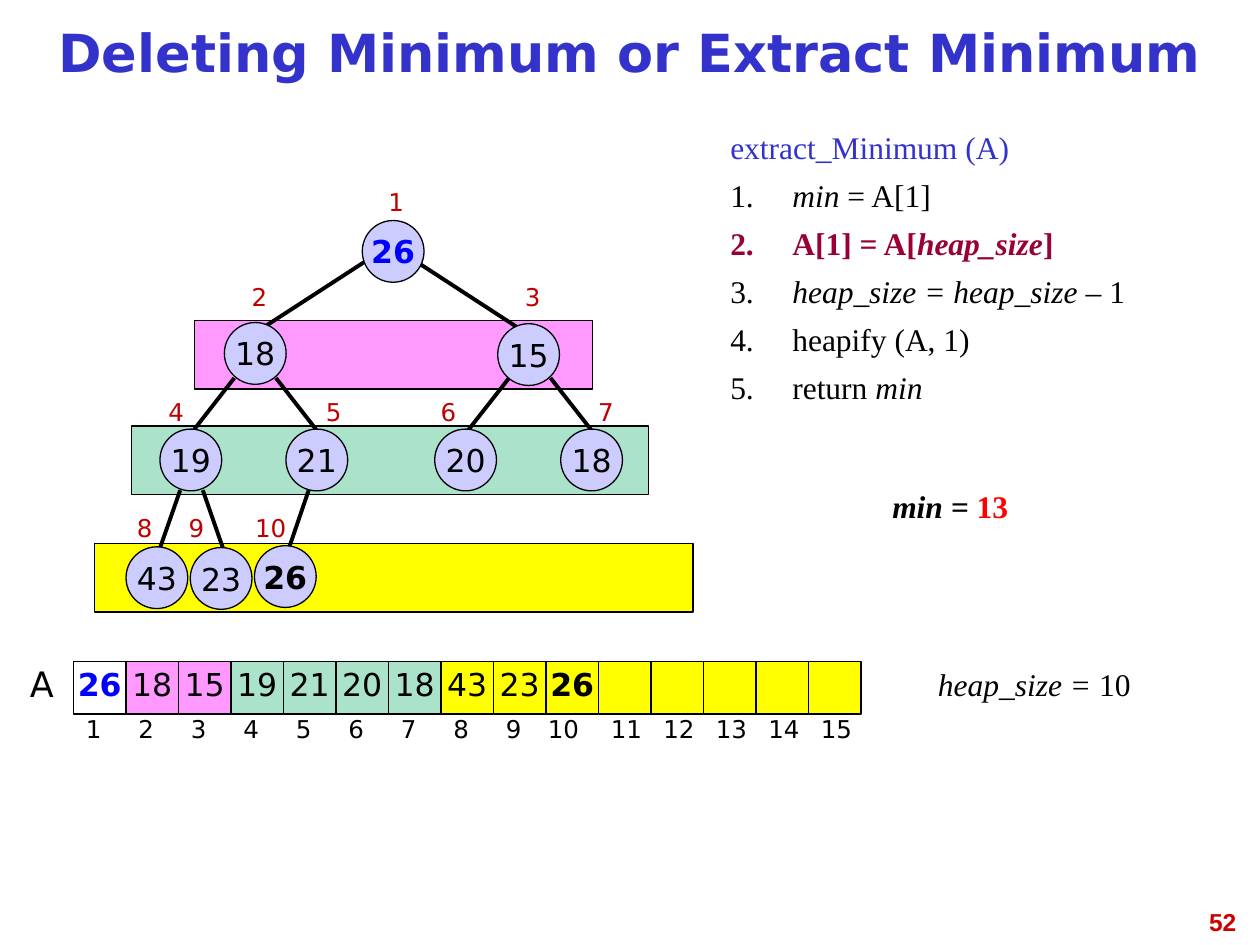
from pptx import Presentation
from pptx.dml.color import RGBColor
from pptx.enum.shapes import MSO_CONNECTOR, MSO_SHAPE
from pptx.enum.text import MSO_ANCHOR, MSO_AUTO_SIZE, PP_ALIGN
from pptx.oxml.ns import qn
from pptx.util import Pt
from lxml.etree import SubElement

COLORS = {
    "black": "000000", "white": "FFFFFF", "title": "3333CC", "root": "0000FF",
    "node": "CCCCFF", "pink": "FF99FF", "green": "AAE2CA", "yellow": "FFFF00",
    "index": "C00000", "step": "990033", "min": "FF0000", "page": "CC0000",
}
SANS, SERIF = "DejaVu Sans", "Times New Roman"

# Content: a run is (text, style)
TITLE = "Deleting Minimum or Extract Minimum"
HEAP = [26, 18, 15, 19, 21, 20, 18, 43, 23, 26]
CAPACITY = 15
VALUE_STYLES = {1: {"bold": True, "color": "root"}, 10: {"bold": True}}
LEVEL_COLORS = ["white", "pink", "green", "yellow"]
ITALIC = {"italic": True}
STEP = {"bold": True, "color": "step"}
ALGORITHM = [
    [("extract_Minimum (A)", {"color": "title"})],
    [("1.\t", {}), ("min ", ITALIC), ("= A[1]", {})],
    [("2.\tA[1] = A[", STEP), ("heap_size", STEP | ITALIC), ("]", STEP)],
    [("3.\t", {}), ("heap_size = heap_size ", ITALIC), ("– 1", {})],
    [("4.\theapify (A, 1)", {})],
    [("5.\treturn ", {}), ("min", ITALIC)],
]
MIN_NOTE = [("min = ", {"bold": True, "italic": True}), ("13", {"bold": True, "color": "min"})]
SIZE_NOTE = [("heap_size = ", ITALIC), ("10", {})]

# Tree geometry in points
NODE, CELL = 35.3, 30
NODE_SPOTS = [(207, 126), (128.2, 184.3), (284.4, 185),
              (91.4, 245.2), (163.4, 245.2), (248.4, 245.2), (320.4, 245.2),
              (72, 312.5), (108.7, 312.9), (145.4, 311.8)]
INDEX_LEFTS = [211.4, 133.2, 289.4, 85.7, 175.7, 241.2, 331.2, 67.7, 97.2, 139.7]
INDEX_TOPS = [102, 156, 222, 288]
BANDS = [("yellow", 54, 310.5, 342), ("green", 75, 243.5, 295.4), ("pink", 111, 183, 227.8)]
BAND_HEIGHT = 39.3
EDGES = [
    (208.1, 149.8, 152.6, 185.8), (240.5, 151.2, 295.9, 187.2),
    (133.9, 216, 110.9, 245.5), (157.7, 216, 180.7, 245.5),
    (290.9, 216, 267.8, 245.5), (314.6, 216, 337.7, 245.5),
    (103, 280.1, 91.4, 313.2), (115.9, 280.1, 127.4, 313.2), (176.4, 280.1, 164.9, 313.9),
]
ARRAY_LEFT, ARRAY_TOP, ARRAY_INDEX_TOP = 42, 378, 403.2


def rgb(name):
    return RGBColor.from_string(COLORS[name])


def add_runs(paragraph, runs, size, font):
    for text, style in runs:
        run = paragraph.add_run()
        run.text = text
        run.font.name, run.font.size = font, Pt(size)
        run.font.bold = style.get("bold", False)
        run.font.italic = style.get("italic", False)
        run.font.color.rgb = rgb(style.get("color", "black"))


def write(shape, runs, size=18, font=SANS, align=PP_ALIGN.CENTER, spacing=0.81, wrap=False):
    frame = shape.text_frame
    frame.auto_size = MSO_AUTO_SIZE.NONE
    frame.word_wrap = wrap
    frame.vertical_anchor = MSO_ANCHOR.MIDDLE
    paragraph = frame.paragraphs[0]
    paragraph.alignment, paragraph.line_spacing = align, spacing
    add_runs(paragraph, runs, size, font)


def place(shape, left, top, width, height):
    shape.left, shape.top, shape.width, shape.height = map(Pt, (left, top, width, height))


def add_box(kind, left, top, width, height, fill):
    box = slide.shapes.add_shape(kind, Pt(left), Pt(top), Pt(width), Pt(height))
    box.shadow.inherit = False
    box.fill.solid()
    box.fill.fore_color.rgb = rgb(fill)
    box.line.color.rgb = rgb("black")
    box.line.width = Pt(0.75)
    return box


def add_label(runs, left, top, width=CELL, height=CELL, **style):
    label = slide.shapes.add_textbox(Pt(left), Pt(top), Pt(width), Pt(height))
    write(label, runs, **style)
    return label


def add_edge(*ends):
    edge = slide.shapes.add_connector(MSO_CONNECTOR.STRAIGHT, *map(Pt, ends))
    edge.line.color.rgb = rgb("black")
    edge.line.width = Pt(2.25)
    SubElement(edge.element.spPr, qn("a:effectLst"))


def level(index):
    return index.bit_length() - 1


prs = Presentation()
prs.slide_width, prs.slide_height = Pt(720), Pt(540)
slide = prs.slides.add_slide(prs.slide_layouts[1])

# Title
title = slide.shapes.title
place(title, 0, 5.5, 720, 54)
write(title, [(TITLE, {"bold": True, "color": "title"})], size=30, wrap=True)

# Algorithm with hanging step numbers
algorithm = slide.placeholders[1]
place(algorithm, 410.1, 72, 309.6, 282)
steps = algorithm.text_frame
steps.auto_size = MSO_AUTO_SIZE.NONE
steps.vertical_anchor = MSO_ANCHOR.TOP
for number, runs in enumerate(ALGORITHM):
    step = steps.add_paragraph() if number else steps.paragraphs[0]
    step.alignment = PP_ALIGN.JUSTIFY
    step.line_spacing, step.space_before = 0.9, Pt(8)
    properties = step._p.get_or_add_pPr()
    properties.set("marL", str(Pt(35.5)))
    properties.set("indent", str(-Pt(35.5)))
    SubElement(properties, qn("a:buNone"))
    add_runs(step, runs, 18, SERIF)

# Level bands and edges
for color, left, top, width in BANDS:
    add_box(MSO_SHAPE.RECTANGLE, left, top, width, BAND_HEIGHT, color)
for ends in EDGES:
    add_edge(*ends)

# Tree nodes with their indices
for index, (value, spot, label_left) in enumerate(zip(HEAP, NODE_SPOTS, INDEX_LEFTS), 1):
    node = add_box(MSO_SHAPE.OVAL, *spot, NODE, NODE, "node")
    write(node, [(str(value), VALUE_STYLES.get(index, {}))], spacing=1.0)
    add_label([(str(index), {"color": "index"})], label_left, INDEX_TOPS[level(index)], size=14)

# Array cells with centred values and their indices
add_label([("A", {})], 6, ARRAY_TOP, width=36, size=20)
for index in range(1, CAPACITY + 1):
    left = ARRAY_LEFT + (index - 1) * CELL
    cell = add_box(MSO_SHAPE.RECTANGLE, left, ARRAY_TOP, CELL, CELL, LEVEL_COLORS[level(index)])
    if index <= len(HEAP):
        cell.text_frame.margin_left = cell.text_frame.margin_right = 0
        write(cell, [(str(HEAP[index - 1]), VALUE_STYLES.get(index, {}))])
    label_left = left - 6 if index == len(HEAP) else left
    label = add_label([(str(index), {})], label_left, ARRAY_INDEX_TOP,
                      size=14, align=PP_ALIGN.LEFT, wrap=True)
    label.text_frame.margin_right = 0

# Variable values and page number
add_label(MIN_NOTE, 462, 276, width=162, font=SERIF)
add_label(SIZE_NOTE, 510, ARRAY_TOP, width=162, font=SERIF)
page = add_label([("52", {"bold": True, "color": "page"})], 545.8, 514.8, width=167.8,
                 height=37.4, size=14, font="Arial", align=PP_ALIGN.RIGHT, spacing=1.0, wrap=True)
page.text_frame.vertical_anchor = MSO_ANCHOR.TOP

prs.save("out.pptx")
